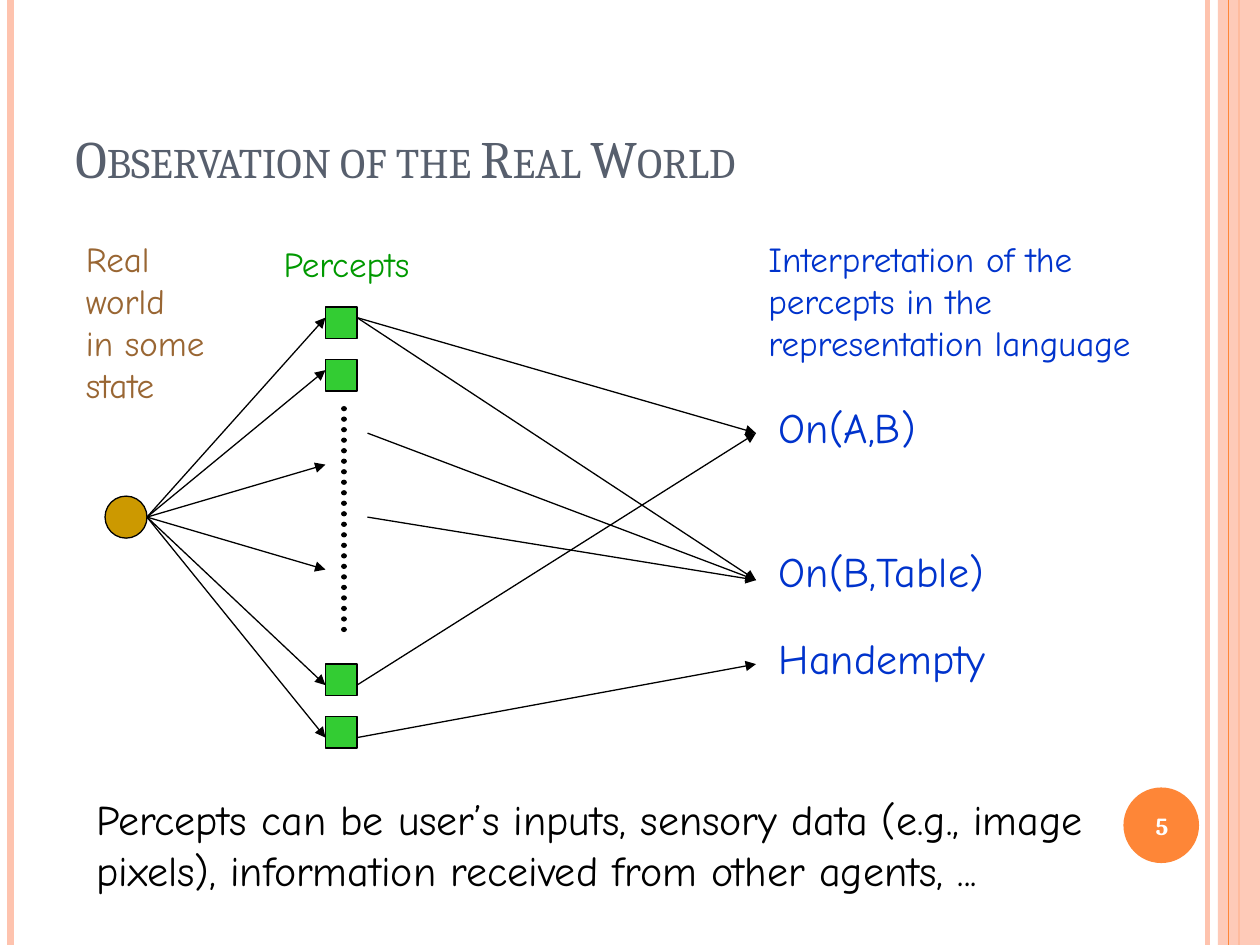
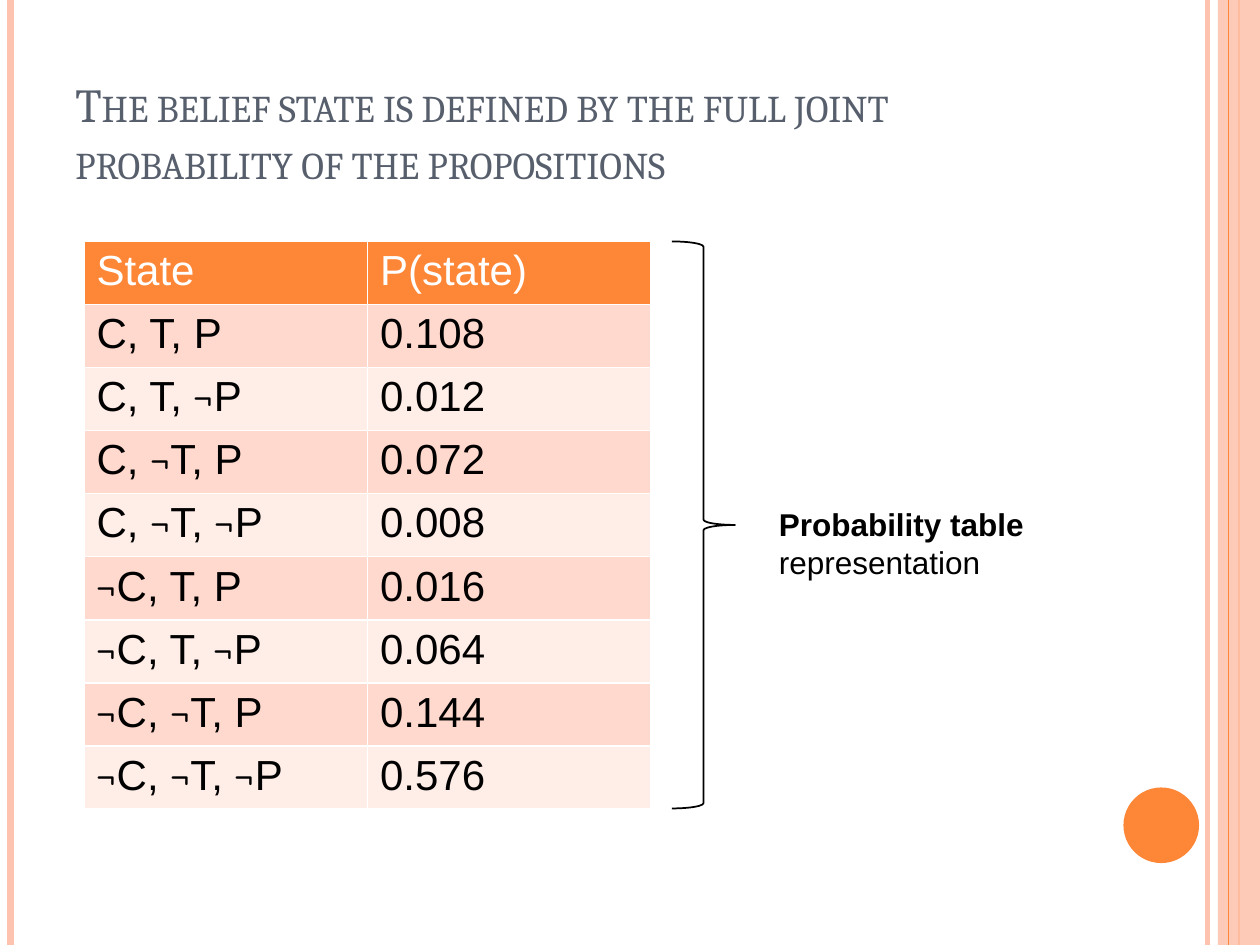
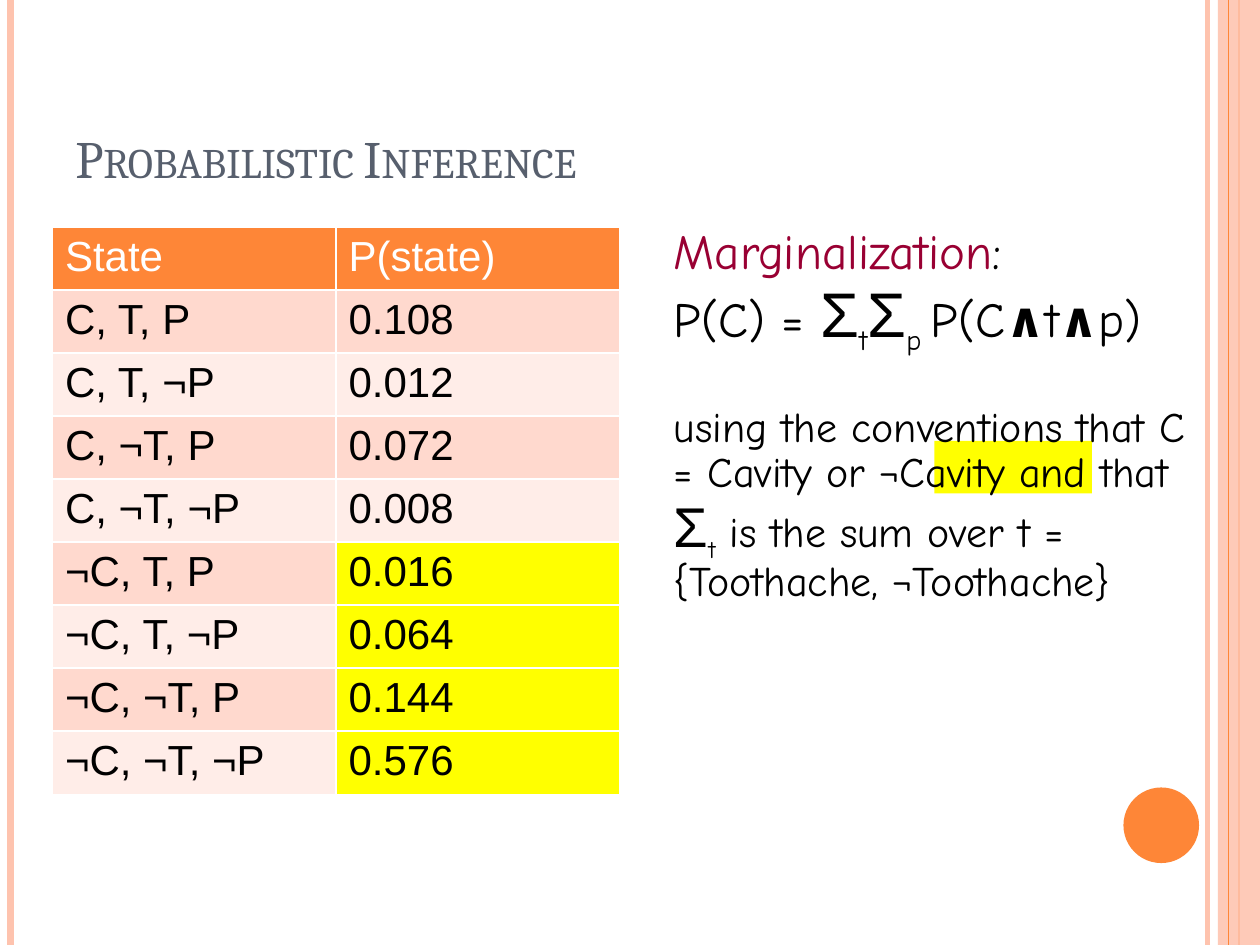
import itertools

import pptx
import pptx.dml.color
import pptx.enum.dml
import pptx.enum.shapes
import pptx.enum.text
import pptx.oxml
import pptx.oxml.ns
import pptx.util

Pt = pptx.util.Pt
color = pptx.dml.color.RGBColor.from_string
Shape = pptx.enum.shapes.MSO_SHAPE
Align = pptx.enum.text.PP_ALIGN
Anchor = pptx.enum.text.MSO_ANCHOR
DRAWING = pptx.oxml.ns.nsdecls("a")

# Shared colours and text formats
ORANGE, PEACH, YELLOW = "FE8637", "FEC3AE", "FFFF00"
BLACK, WHITE, GREEN, BLUE = "000000", "FFFFFF", "33CC33", "0033CC"
ROW_FILLS = ("FFD9CE", "FFEDE8")
TITLE = {"name": "Cambria", "size": 30, "color": "575F6D", "cap": "small"}
PAGE_NUMBER = {"name": "Cambria", "size": 14, "color": WHITE, "bold": True}
HAND = {"name": "Comic Neue", "size": 24, "color": BLACK}
LABEL = HAND | {"size": 20}
FACT = HAND | {"color": BLUE}
NOTE = {"name": "Arial", "size": 18, "color": BLACK}
CELL = {"name": "Arial", "size": 24, "color": BLACK, "bold": False}


def add_line(slide, start, end, line_color=BLACK, width=0.75, arrow=False):
    connector = slide.shapes.add_connector(
        pptx.enum.shapes.MSO_CONNECTOR.STRAIGHT, *map(Pt, start + end))
    connector.line.color.rgb = color(line_color)
    connector.line.width = Pt(width)
    if arrow:
        connector.line._get_or_add_ln().append(
            pptx.oxml.parse_xml(f'<a:tailEnd {DRAWING} type="triangle"/>'))
    connector._element.spPr.append(pptx.oxml.parse_xml(f"<a:effectLst {DRAWING}/>"))
    return connector


def add_shape(slide, kind, box, fill=None, outline=None, width=0.75):
    shape = slide.shapes.add_shape(kind, *map(Pt, box))
    shape.shadow.inherit = False
    if fill:
        shape.fill.solid()
        shape.fill.fore_color.rgb = color(fill)
    else:
        shape.fill.background()
    if outline:
        shape.line.color.rgb = color(outline)
        shape.line.width = Pt(width)
    else:
        shape.line.fill.background()
    return shape


presentation = pptx.Presentation()
presentation.slide_width, presentation.slide_height = Pt(720), Pt(540)
slides = [presentation.slides.add_slide(presentation.slide_layouts[6]) for _ in range(3)]
observation, belief, inference = slides

# Side bands and page badge on every slide
for slide in slides:
    for x, band_color, width in ((690, PEACH, 3), (6, PEACH, 4.5), (708, ORANGE, 1.5)):
        add_line(slide, (x, 0), (x, 540), band_color, width)
    band = add_shape(slide, Shape.RECTANGLE, (696, 0, 24, 540), PEACH)
    band_color = band._element.spPr.find(".//" + pptx.oxml.ns.qn("a:srgbClr"))
    band_color.append(pptx.oxml.parse_xml(f'<a:alpha {DRAWING} val="87000"/>'))
    add_line(slide, (702, 0), (702, 540), ORANGE)
    add_shape(slide, Shape.OVAL, (642, 450, 43.2, 43.2), ORANGE)

# Observation: the world, its percepts and their interpretation
add_shape(observation, Shape.OVAL, (60, 283.5, 24, 24), "CC9900", BLACK)
for y in (181.5, 211.5, 265.5, 325.5, 391.5, 421.5):
    add_line(observation, (84, 295.5), (186, y), arrow=True)
for top in (175.5, 205.5, 379.5, 409.5):
    add_shape(observation, Shape.RECTANGLE, (186, top, 18, 18), GREEN, BLACK)
dots = add_line(observation, (196.5, 233.5), (196.5, 365), width=3)
dots.line.dash_style = pptx.enum.dml.MSO_LINE.ROUND_DOT
dots.line._get_or_add_ln().set("cap", "rnd")
for x, start_y, end_y in ((204, 181.5, 247.5), (204, 391.5, 247.5), (204, 181.5, 331.5),
                          (210, 295.5, 331.5), (210, 247.5, 331.5), (204, 421.5, 379.5)):
    add_line(observation, (x, start_y), (432, end_y), arrow=True)

# Brace beside the table, highlight behind the formula text
add_shape(belief, Shape.RIGHT_BRACE, (384, 138, 36, 324), outline=BLACK, width=1)
add_shape(inference, Shape.RECTANGLE, (534, 252, 90, 30), YELLOW)

# Text boxes: slide, box, wrap, anchor, format, paragraphs of (text, changes) runs
sum_sign = ("Σ", {"name": "Arial", "size": 36})
subscript = {"baseline": "-25000"}
bold = {"bold": True}
formula = HAND | {"size": 28}
small = {"size": 24}
formula_box = (378, 126, 312, 221)
title_box = (36, 21.6, 588, 90)
texts = [
    (observation, title_box, True, Anchor.BOTTOM, TITLE, ["Observation of the Real World"]),
    (belief, title_box, True, Anchor.BOTTOM, TITLE | {"size": 27},
     ["The belief state is defined by the full joint probability of the propositions"]),
    (inference, title_box, True, Anchor.BOTTOM, TITLE, ["Probabilistic Inference"]),
    (observation, (640, 451.5, 48, 41), True, Anchor.MIDDLE, PAGE_NUMBER, ["5"]),
    (observation, (42, 132, 89, 103), False, Anchor.TOP, LABEL | {"color": "996633"},
     ["Real", "world", "in some", "state"]),
    (observation, (155, 135, 96.5, 31), False, Anchor.TOP, LABEL | {"color": "009900"},
     ["Percepts"]),
    (observation, (438, 226, 103, 36), False, Anchor.TOP, FACT, ["On(A,B)"]),
    (observation, (438, 308, 148.5, 36), False, Anchor.TOP, FACT, ["On(B,Table)"]),
    (observation, (438, 358, 140.5, 36), False, Anchor.TOP, FACT, ["Handempty"]),
    (observation, (432, 132, 238.5, 79), False, Anchor.TOP, LABEL | {"color": BLUE},
     ["Interpretation of the", "percepts in the", "representation language"]),
    (observation, (48, 450, 633, 65), False, Anchor.TOP, HAND,
     ["Percepts can be user’s inputs, sensory data (e.g., image",
      "pixels), information received from other agents, ..."]),
    (belief, (438, 285, 186, 51), True, Anchor.TOP, NOTE,
     [[("Probability table ", bold), ("representation", {})]]),
    (inference, formula_box, True, Anchor.TOP, formula, [
        [("Marginalization", {"color": "990033"}), (":", {})],
        [("P(C) = ", {}), sum_sign, ("t", subscript), sum_sign, ("p ", subscript),
         ("P(C", {}), ("∧", bold), ("t", {}), ("∧", bold), ("p)", {})],
        [("using the conventions that C = Cavity or ¬Cavity and that ", small),
         ("Σ", {"name": "Arial", "size": 32}), ("t", small | subscript),
         (" is the sum over t = {Toothache, ¬Toothache}", small)],
    ]),
]
text_jobs = []
for slide, box, wrap, anchor, text_format, paragraphs in texts:
    frame = slide.shapes.add_textbox(*map(Pt, box)).text_frame
    frame.word_wrap = wrap
    frame.vertical_anchor = anchor
    for index, runs in enumerate(paragraphs):
        paragraph = frame.add_paragraph() if index else frame.paragraphs[0]
        if text_format is PAGE_NUMBER:
            paragraph.alignment = Align.CENTER
        if text_format is formula:
            paragraph.line_spacing = 0.9
            if index == 2:
                paragraph.space_before = Pt(30.5)
        runs = [(runs, {})] if isinstance(runs, str) else runs
        text_jobs.append((paragraph, text_format, runs))

# Joint probability tables: every sign combination of C, T and P
states = [", ".join(sign + letter for sign, letter in zip(signs, "CTP"))
          for signs in itertools.product(("", "¬"), repeat=3)]
probabilities = ("0.108", "0.012", "0.072", "0.008", "0.016", "0.064", "0.144", "0.576")
table_rows = [("State", "P(state)"), *zip(states, probabilities)]
for slide, left, top, sign_font, first_marked in (
        (belief, 48, 138, "Comic Neue", 9), (inference, 30, 129.6, "Arial", 5)):
    table = slide.shapes.add_table(
        9, 2, Pt(left), Pt(top), Pt(324), Pt(9 * 29.5)).table
    for row, values in enumerate(table_rows):
        for column, value in enumerate(values):
            cell = table.cell(row, column)
            fill = ROW_FILLS[(row - 1) % 2] if row else ORANGE
            if column == 1 and row >= first_marked:
                fill = YELLOW
            cell.fill.solid()
            cell.fill.fore_color.rgb = color(fill)
            runs = [("".join(letters), {"name": sign_font} if is_sign else {})
                    for is_sign, letters in itertools.groupby(value, lambda c: c == "¬")]
            cell_format = CELL if row else CELL | {"color": WHITE}
            text_jobs.append((cell.text_frame.paragraphs[0], cell_format, runs))

# Write and format all text
for paragraph, text_format, runs in text_jobs:
    for text, changes in runs:
        run = paragraph.add_run()
        run.text = text
        for key, value in (text_format | changes).items():
            if key == "color":
                run.font.color.rgb = color(value)
            elif key in ("cap", "baseline"):
                run._r.get_or_add_rPr().set(key, value)
            else:
                setattr(run.font, key, Pt(value) if key == "size" else value)

presentation.save("out.pptx")
